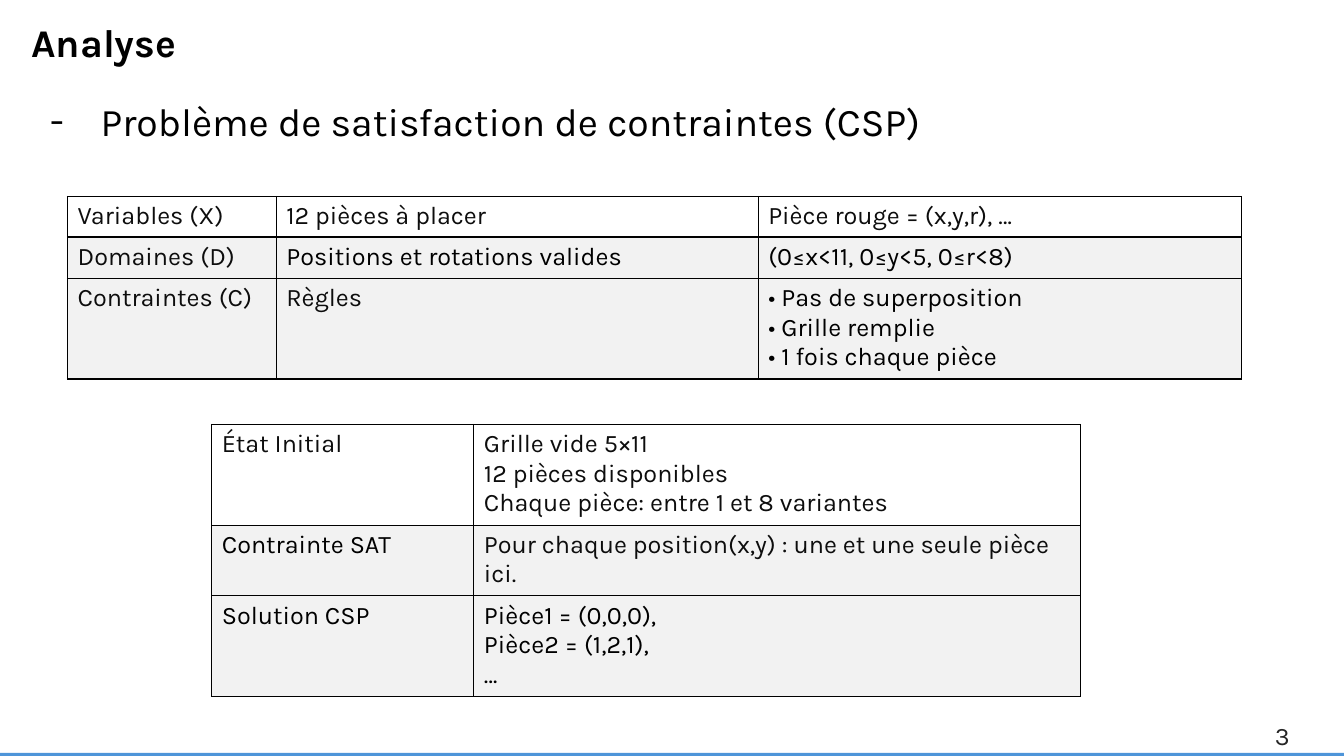
from dataclasses import dataclass

from lxml import etree
from pptx import Presentation
from pptx.dml.color import RGBColor
from pptx.enum.shapes import MSO_SHAPE
from pptx.enum.text import MSO_ANCHOR, MSO_AUTO_SIZE, PP_ALIGN
from pptx.oxml.ns import qn
from pptx.util import Pt

RECTANGLE = MSO_SHAPE.RECTANGLE
TOP, MIDDLE = MSO_ANCHOR.TOP, MSO_ANCHOR.MIDDLE
LEFT, RIGHT = PP_ALIGN.LEFT, PP_ALIGN.RIGHT
FIT_SHAPE = MSO_AUTO_SIZE.SHAPE_TO_FIT_TEXT
PX = 9144
PAGE_WIDTH, PAGE_HEIGHT = 1333, 750


@dataclass(frozen=True)
class Theme:
    """Colours, font and type sizes of the deck."""
    font: str = "Karla"
    ink: str = "000000"
    soft_ink: str = "0D0D0D"
    number_ink: str = "262626"
    accent: str = "4E95D9"
    head_fill: str = "FFFFFF"
    body_fill: str = "F2F2F2"
    heading: int = 28
    body: int = 18


THEME = Theme()


@dataclass(frozen=True)
class Cell:
    """Text of a table cell, one paragraph a line."""
    text: str
    color: str = THEME.soft_ink
    bullet: str = ""


CSP_ROWS = [
    [Cell("Variables (X)"), Cell("12 pièces à placer"),
     Cell("Pièce rouge = (x,y,r), …")],
    [Cell("Domaines (D)"), Cell("Positions et rotations valides", THEME.ink),
     Cell("(0≤x<11, 0≤y<5, 0≤r<8)", THEME.ink)],
    [Cell("Contraintes (C)"), Cell("Règles"),
     Cell("Pas de superposition\nGrille remplie\n1 fois chaque pièce", THEME.ink, "•")],
]
STATE_ROWS = [
    [Cell("État Initial"),
     Cell("Grille vide 5×11\n12 pièces disponibles\nChaque pièce: entre 1 et 8 variantes")],
    [Cell("Contrainte SAT", THEME.ink),
     Cell("Pour chaque position(x,y) : une et une seule pièce ici.")],
    [Cell("Solution CSP", THEME.ink),
     Cell("Pièce1 = (0,0,0),\nPièce2 = (1,2,1),\n…", THEME.ink)],
]


def scaled(*lengths):
    """Turn px lengths into EMU."""
    return [length * PX for length in lengths]


def write(frame, text, size, color, bold=False, align=LEFT):
    """Fill a text frame and format every run."""
    frame.text = text
    frame.word_wrap = True
    for para in frame.paragraphs:
        para.alignment = align
        for span in para.runs:
            span.font.name = THEME.font
            span.font.size = Pt(size)
            span.font.bold = bold
            span.font.color.rgb = RGBColor.from_string(color)


def add_bullets(frame, mark, indent):
    """Give each paragraph a hanging bullet."""
    for para in frame.paragraphs:
        properties = para._p.get_or_add_pPr()
        properties.set("marL", str(indent * PX))
        properties.set("indent", str(-indent * PX))
        etree.SubElement(properties, qn("a:buFont"), typeface=THEME.font)
        etree.SubElement(properties, qn("a:buChar"), char=mark)


def add_borders(cell):
    """Draw a one point line on each side of a cell."""
    properties = cell._tc.get_or_add_tcPr()
    for side in ("lnL", "lnR", "lnT", "lnB"):
        line = etree.SubElement(properties, qn(f"a:{side}"), w=str(Pt(1)))
        fill = etree.SubElement(line, qn("a:solidFill"))
        etree.SubElement(fill, qn("a:srgbClr"), val=THEME.ink)


def place_title(page, box, text):
    """Move and format the title placeholder."""
    title = page.shapes.title
    title.left, title.top, title.width, title.height = scaled(*box)
    write(title.text_frame, text, THEME.heading, THEME.ink, bold=True)
    title.text_frame.vertical_anchor = TOP
    title.text_frame.auto_size = FIT_SHAPE


def add_statement(page, box, text):
    """Add the dashed line below the title."""
    frame = page.shapes.add_textbox(*scaled(*box)).text_frame
    write(frame, text, THEME.heading, THEME.ink)
    frame.auto_size = FIT_SHAPE
    add_bullets(frame, "-", 50)


def add_grid(page, box, columns, heights, rows):
    """Add a bordered table with a white first row."""
    grid = page.shapes.add_table(len(rows), len(columns), *scaled(*box)).table
    grid.first_row = grid.horz_banding = False
    for column, width in zip(grid.columns, scaled(*columns)):
        column.width = width
    for row, height in zip(grid.rows, scaled(*heights)):
        row.height = height
    for row_index, row in enumerate(rows):
        fill = THEME.body_fill if row_index else THEME.head_fill
        for column_index, content in enumerate(row):
            cell = grid.cell(row_index, column_index)
            write(cell.text_frame, content.text, THEME.body, content.color)
            if content.bullet:
                add_bullets(cell.text_frame, content.bullet, 13)
            add_borders(cell)
            cell.fill.solid()
            cell.fill.fore_color.rgb = RGBColor.from_string(fill)


def add_footer(page, box, number):
    """Add the bottom bar and the page number above it."""
    left, top, width, height = box
    bar = page.shapes.add_shape(RECTANGLE, *scaled(left, top + height - 7, width, 7))
    bar.shadow.inherit = False
    bar.fill.solid()
    bar.fill.fore_color.rgb = RGBColor.from_string(THEME.accent)
    bar.line.fill.background()
    label = page.shapes.add_textbox(*scaled(left + width - 345, top, 300, 40))
    write(label.text_frame, number, THEME.body, THEME.number_ink, align=RIGHT)
    label.text_frame.vertical_anchor = MIDDLE


def build_analysis(deck):
    """Build the analysis slide."""
    page = deck.slides.add_slide(deck.slide_layouts[5])
    place_title(page, (21, 13, 1293, 57), "Analyse")
    add_footer(page, (0, 710, 1334, 44), "3")
    add_statement(page, (40, 92, 1293, 57),
                  "Problème de satisfaction de contraintes (CSP)")
    add_grid(page, (67, 195, 1164, 181), (207, 478, 479), (40, 41, 100), CSP_ROWS)
    add_grid(page, (210, 421, 862, 270), (260, 602), (100, 70, 100), STATE_ROWS)


def main():
    """Create and save the deck."""
    deck = Presentation()
    deck.slide_width, deck.slide_height = scaled(PAGE_WIDTH, PAGE_HEIGHT)
    build_analysis(deck)
    deck.save("out.pptx")


if __name__ == "__main__":
    main()
